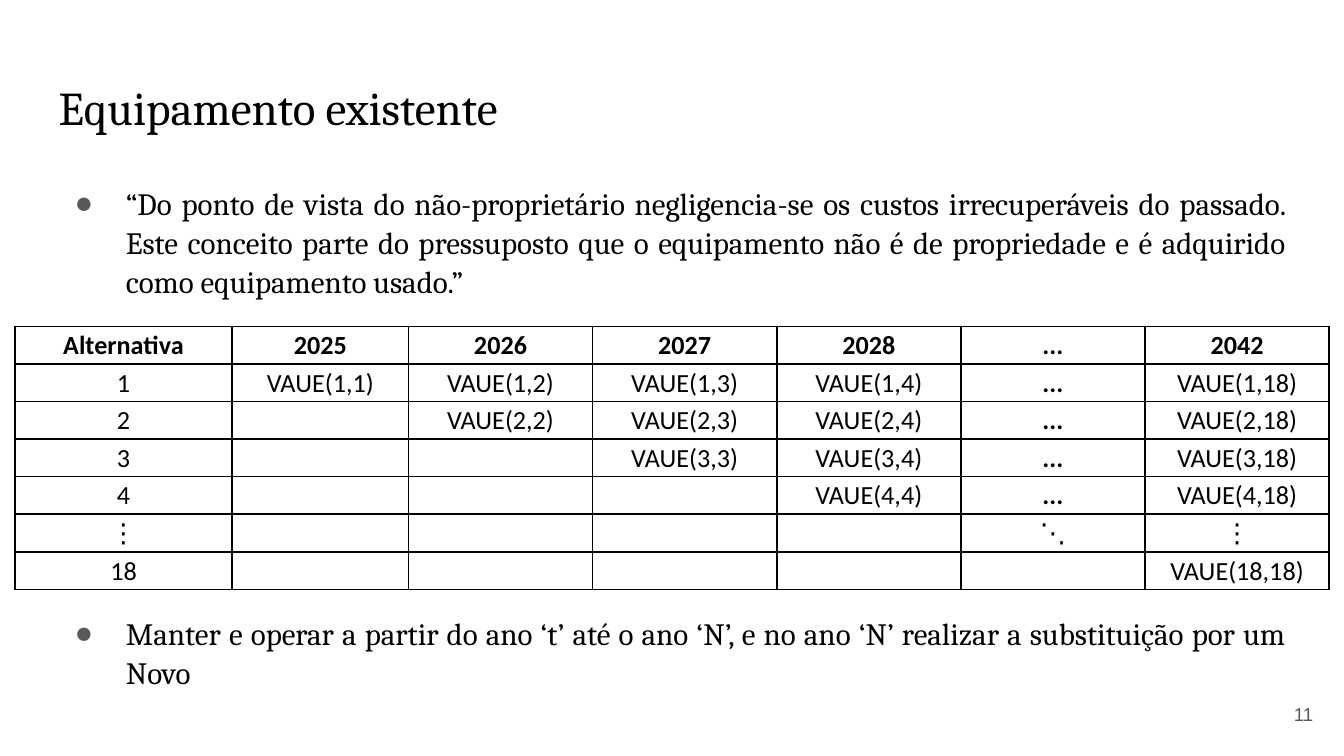
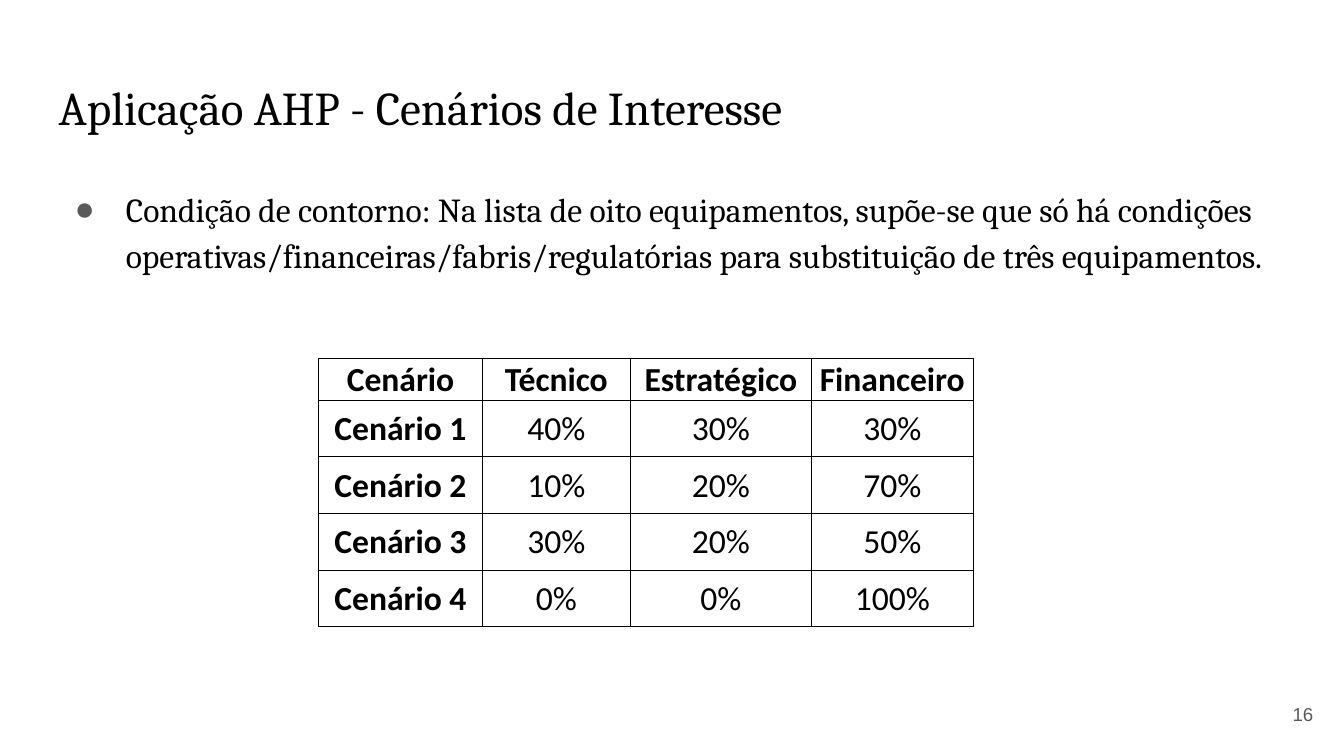
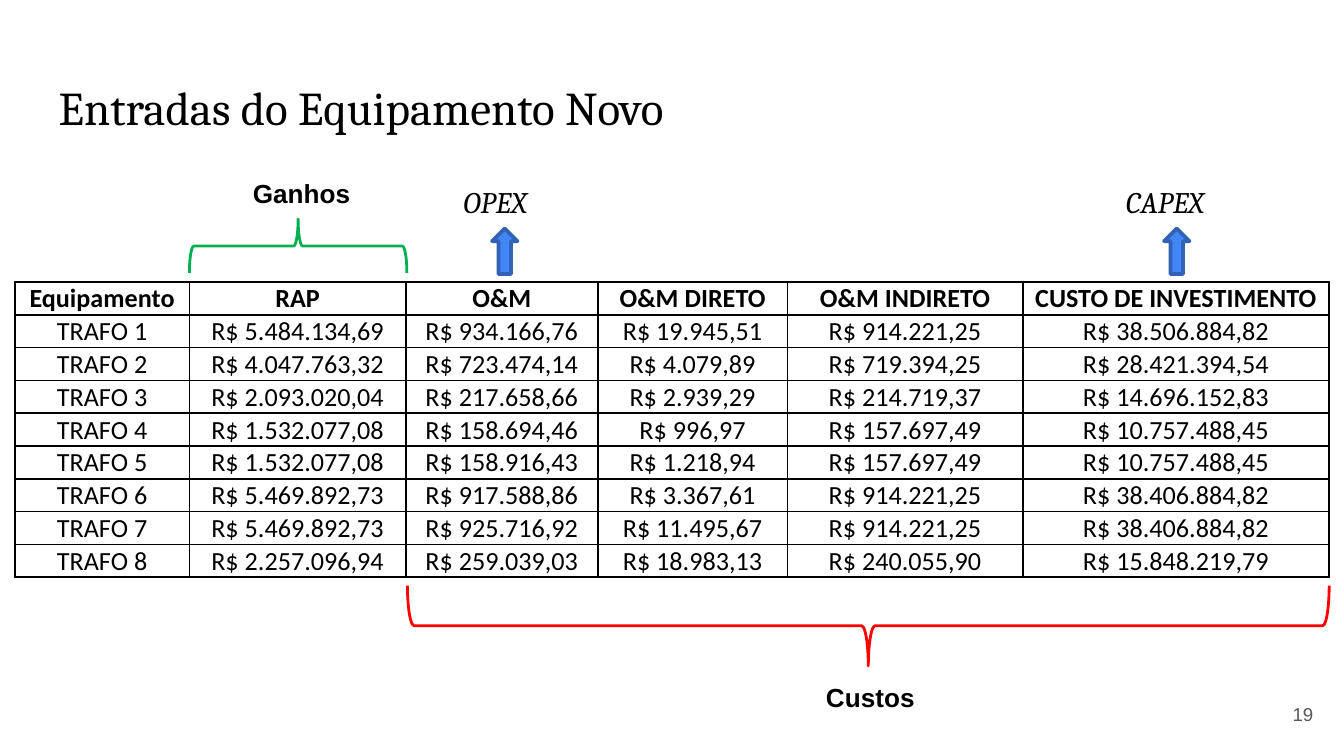
from dataclasses import dataclass

from lxml import etree
from pptx import Presentation
from pptx import util as u
from pptx.dml.color import RGBColor
from pptx.enum import shapes, text
from pptx.oxml.ns import qn
from pptx.util import Cm, Pt

BLACK, GRAY = "000000", "595959"
GREEN, RED = "00B050", "FF0000"
ARROW_FILL, ARROW_LINE = "4285F4", "3162B5"
SERIF, SANS, TABLE_FONT = "Cambria", "Arial", "Calibri"
LEFT, CENTER, RIGHT, JUSTIFY = (
    text.PP_ALIGN.LEFT, text.PP_ALIGN.CENTER, text.PP_ALIGN.RIGHT, text.PP_ALIGN.JUSTIFY)


@dataclass(frozen=True)
class Box:
    """A rectangle in centimetres."""
    left: float
    top: float
    width: float
    height: float

    def lengths(self) -> tuple[u.Length, ...]:
        return Cm(self.left), Cm(self.top), Cm(self.width), Cm(self.height)


@dataclass(frozen=True)
class Style:
    font: str
    size: float
    color: str = BLACK
    bold: bool = False
    italic: bool = False
    align: text.PP_ALIGN = LEFT


@dataclass(frozen=True)
class Grid:
    left: float
    top: float
    columns: list[float]
    row_heights: list[float]
    rows: list[list[str]]
    size: float
    border: float
    bold_values: tuple[str, ...] = ()


@dataclass(frozen=True)
class Label:
    content: str
    box: Box
    style: Style
    wrap: bool = True


@dataclass(frozen=True)
class Brace:
    """A horizontal brace, its point facing up or down."""
    box: Box
    color: str
    rotation: int


TITLE_BOX = Box(0.86, 1.24, 23.67, 1.6)
NUMBER_BOX = Box(23.55, 12.95, 1.52, 1.09)
TITLE = Style(SERIF, 25.2)
NUMBER = Style(SANS, 10, GRAY, align=RIGHT)
GROUP = Style(SANS, 14, bold=True, align=CENTER)
TERM = Style(SERIF, 16, italic=True)


def rgb(color: str) -> RGBColor:
    return RGBColor.from_string(color)


def format_paragraph(paragraph, style: Style) -> None:
    paragraph.alignment = style.align
    for run in paragraph.runs:
        font = run.font
        font.name, font.size = style.font, Pt(style.size)
        font.bold, font.italic = style.bold, style.italic
        font.color.rgb = rgb(style.color)


def add_text(slide, box: Box, content: str, style: Style, inset: float = 0.25):
    shape = slide.shapes.add_textbox(*box.lengths())
    frame = shape.text_frame
    frame.word_wrap = True
    frame.margin_left = frame.margin_right = Cm(inset)
    frame.margin_top = frame.margin_bottom = Cm(min(inset, 0.25))
    frame.text = content
    format_paragraph(frame.paragraphs[0], style)
    return shape


def add_bullet(paragraph) -> None:
    properties = paragraph._p.get_or_add_pPr()
    properties.set("marL", str(Cm(1.27)))
    properties.set("indent", str(-Cm(0.97)))
    color = etree.SubElement(properties, qn("a:buClr"))
    etree.SubElement(color, qn("a:srgbClr"), val=GRAY)
    etree.SubElement(properties, qn("a:buFont"), typeface=SANS)
    etree.SubElement(properties, qn("a:buChar"), char="●")


def add_body(slide, height: float, items: list[str], style: Style,
             line_spacing: float, gap: float = 0) -> None:
    """Add bulleted paragraphs, with a gap in centimetres between them."""
    box = Box(TITLE_BOX.left, 3.2, TITLE_BOX.width, height)
    frame = add_text(slide, box, "\n".join(items), style).text_frame
    for index, paragraph in enumerate(frame.paragraphs):
        add_bullet(paragraph)
        paragraph.line_spacing = line_spacing
        if index:
            paragraph.space_before = Cm(gap)
        format_paragraph(paragraph, style)


def set_borders(cell, width: float) -> None:
    properties = cell._tc.get_or_add_tcPr()
    for index, side in enumerate(("a:lnL", "a:lnR", "a:lnT", "a:lnB")):
        line = etree.Element(qn(side), w=str(Pt(width)))
        fill = etree.SubElement(line, qn("a:solidFill"))
        etree.SubElement(fill, qn("a:srgbClr"), val=BLACK)
        properties.insert(index, line)


def add_grid(slide, grid: Grid) -> None:
    box = Box(grid.left, grid.top, sum(grid.columns), sum(grid.row_heights))
    table = slide.shapes.add_table(len(grid.rows), len(grid.columns), *box.lengths()).table
    table.first_row = table.horz_banding = False
    for column, width in zip(table.columns, grid.columns):
        column.width = Cm(width)
    for row_index, (row, height) in enumerate(zip(table.rows, grid.row_heights)):
        row.height = Cm(height)
        for cell, value in zip(row.cells, grid.rows[row_index]):
            cell.margin_left = cell.margin_right = cell.margin_top = Cm(0.02)
            cell.margin_bottom = Cm(0)
            cell.vertical_anchor = text.MSO_ANCHOR.MIDDLE
            cell.fill.background()
            set_borders(cell, grid.border)
            cell.text_frame.text = value
            paragraph = cell.text_frame.paragraphs[0]
            bold = row_index == 0 or value in grid.bold_values
            format_paragraph(paragraph, Style(TABLE_FONT, grid.size, bold=bold, align=CENTER))
            if not value:
                paragraph._p.get_or_add_endParaRPr().set("sz", str(int(grid.size * 100)))


def add_label(slide, label: Label) -> None:
    frame = add_text(slide, label.box, label.content, label.style).text_frame
    frame.margin_left = frame.margin_right = Cm(0.25)
    frame.margin_top = frame.margin_bottom = Cm(0.13)
    frame.word_wrap = label.wrap
    frame.auto_size = text.MSO_AUTO_SIZE.SHAPE_TO_FIT_TEXT


def add_brace(slide, brace: Brace) -> None:
    box = brace.box
    shift = (box.width - box.height) / 2
    upright = Box(box.left + shift, box.top - shift, box.height, box.width)
    shape = slide.shapes.add_shape(shapes.MSO_SHAPE.RIGHT_BRACE, *upright.lengths())
    shape.rotation = brace.rotation
    shape.shadow.inherit = False
    shape.fill.background()
    shape.line.color.rgb = rgb(brace.color)
    shape.line.width = Pt(1.5)


def add_up_arrow(slide, left: float) -> None:
    box = Box(left, 4.32, 0.48, 0.86)
    shape = slide.shapes.add_shape(shapes.MSO_SHAPE.UP_ARROW, *box.lengths())
    shape.shadow.inherit = False
    shape.fill.solid()
    shape.fill.fore_color.rgb = rgb(ARROW_FILL)
    shape.line.color.rgb = rgb(ARROW_LINE)
    shape.line.width = Pt(2)


def add_slide(presentation, title: str, number: int):
    slide = presentation.slides.add_slide(presentation.slide_layouts[6])
    add_text(slide, TITLE_BOX, title, TITLE)
    number_shape = add_text(slide, NUMBER_BOX, str(number), NUMBER)
    number_shape.text_frame.vertical_anchor = text.MSO_ANCHOR.MIDDLE
    return slide


def build_existing_equipment(presentation) -> None:
    slide = add_slide(presentation, "Equipamento existente", 11)
    add_body(slide, 10.49, [
        "“Do ponto de vista do não-proprietário negligencia-se os custos irrecuperáveis do "
        "passado. Este conceito parte do pressuposto que o equipamento não é de propriedade "
        "e é adquirido como equipamento usado.”",
        "Manter e operar a partir do ano ‘t’ até o ano ‘N’, e no ano ‘N’ realizar a "
        "substituição por um Novo",
    ], Style(SERIF, 16.6, align=JUSTIFY), 1.05, gap=5.91)
    years = range(1, 5)
    rows = [["Alternativa", *(str(2024 + year) for year in years), "...", "2042"]]
    for start in years:
        values = [f"VAUE({start},{year})" if year >= start else "" for year in years]
        rows.append([str(start), *values, "...", f"VAUE({start},18)"])
    blanks = [""] * len(years)
    rows.append(["⋮", *blanks, "⋱", "⋮"])
    rows.append(["18", *blanks, "", "VAUE(18,18)"])
    add_grid(slide, Grid(0.28, 6.17, [4.11, 3.33] + [3.48] * 5, [0.71] * 7, rows,
                         size=14, border=1, bold_values=("...",)))


def build_scenarios(presentation) -> None:
    slide = add_slide(presentation, "Aplicação AHP - Cenários de Interesse", 16)
    add_body(slide, 9.5, [
        "Condição de contorno: Na lista de oito equipamentos, supõe-se que só há condições "
        "operativas/financeiras/fabris/regulatórias para substituição de três equipamentos.",
    ], Style(SERIF, 18), 1.15)
    weights = [(40, 30, 30), (10, 20, 70), (30, 20, 50), (0, 0, 100)]
    names = [f"Cenário {index}" for index in range(1, len(weights) + 1)]
    rows = [["Cenário", "Técnico", "Estratégico", "Financeiro"]]
    rows += [[name, *(f"{weight}%" for weight in line)] for name, line in zip(names, weights)]
    add_grid(slide, Grid(6.02, 6.78, [3.1, 2.79, 3.43, 3.05], [0.76] + [1.07] * 4, rows,
                         size=18, border=0.5, bold_values=tuple(names)))


def build_new_equipment(presentation) -> None:
    slide = add_slide(presentation, "Entradas do Equipamento Novo", 19)
    amounts = [
        ("5.484.134,69", "934.166,76", "19.945,51", "914.221,25", "38.506.884,82"),
        ("4.047.763,32", "723.474,14", "4.079,89", "719.394,25", "28.421.394,54"),
        ("2.093.020,04", "217.658,66", "2.939,29", "214.719,37", "14.696.152,83"),
        ("1.532.077,08", "158.694,46", "996,97", "157.697,49", "10.757.488,45"),
        ("1.532.077,08", "158.916,43", "1.218,94", "157.697,49", "10.757.488,45"),
        ("5.469.892,73", "917.588,86", "3.367,61", "914.221,25", "38.406.884,82"),
        ("5.469.892,73", "925.716,92", "11.495,67", "914.221,25", "38.406.884,82"),
        ("2.257.096,94", "259.039,03", "18.983,13", "240.055,90", "15.848.219,79"),
    ]
    rows = [["Equipamento", "RAP", "O&M", "O&M DIRETO", "O&M INDIRETO",
             "CUSTO DE INVESTIMENTO"]]
    rows += [[f"TRAFO {index}", *(f"R$ {amount}" for amount in line)]
             for index, line in enumerate(amounts, 1)]
    add_grid(slide, Grid(0.28, 5.33, [3.3, 4.09, 3.63, 3.58, 4.45, 5.79], [0.62] * 9, rows,
                         size=14, border=1))
    for brace in (Brace(Box(3.58, 4.14, 4.11, 1.02), GREEN, 270),
                  Brace(Box(7.7, 11.07, 17.42, 1.52), RED, 90)):
        add_brace(slide, brace)
    for label in (Label("Custos", Box(15.04, 12.75, 2.82, 0.86), GROUP),
                  Label("Ganhos", Box(4.29, 3.23, 2.82, 0.86), GROUP),
                  Label("CAPEX", Box(21.03, 3.35, 2.39, 0.94), TERM, wrap=False),
                  Label("OPEX", Box(8.51, 3.35, 2.06, 0.94), TERM, wrap=False)):
        add_label(slide, label)
    for left in (9.3, 22):
        add_up_arrow(slide, left)


def main() -> None:
    presentation = Presentation()
    presentation.slide_width, presentation.slide_height = Cm(25.4), Cm(14.29)
    build_existing_equipment(presentation)
    build_scenarios(presentation)
    build_new_equipment(presentation)
    presentation.save("out.pptx")


if __name__ == "__main__":
    main()
